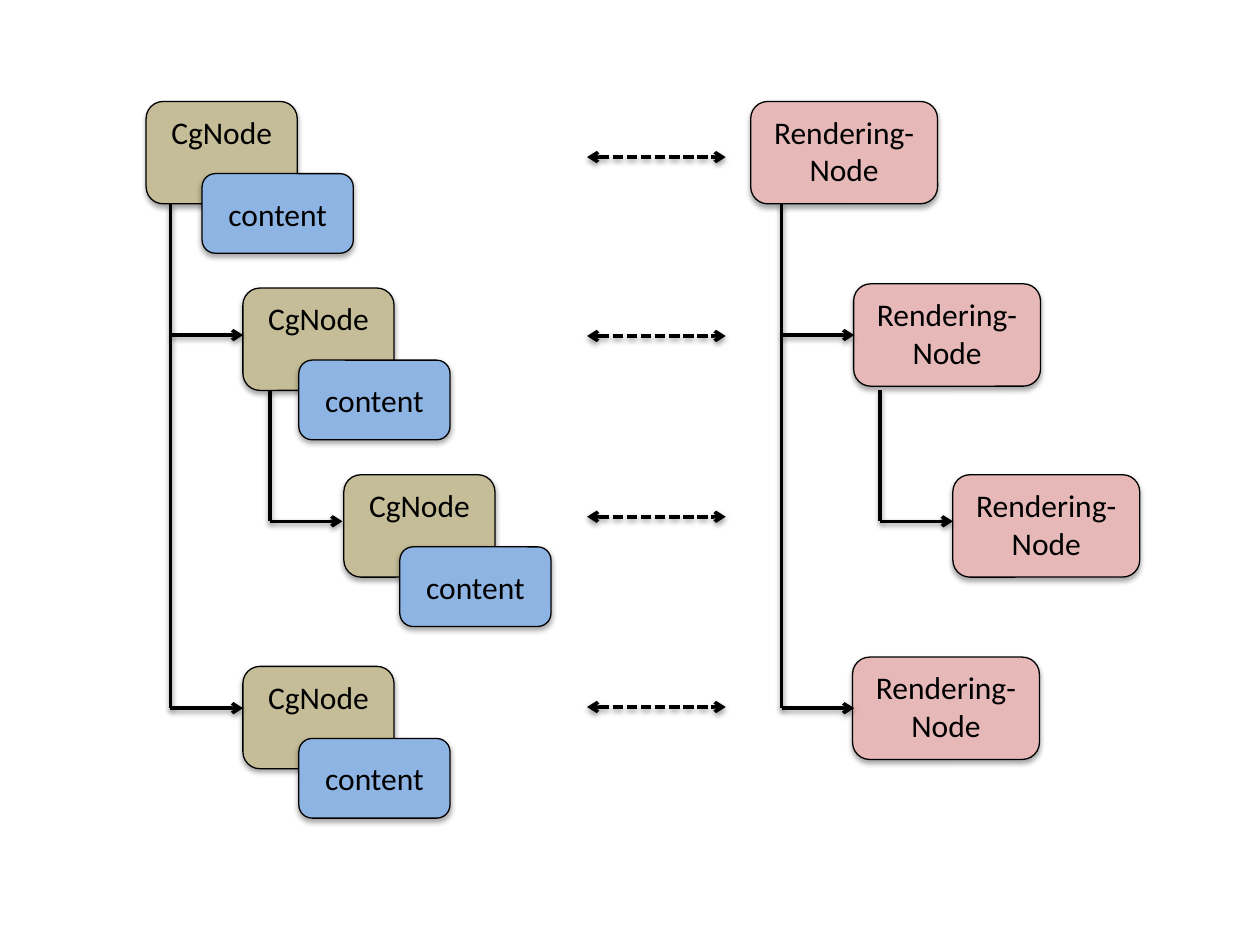
import pptx
import pptx.util
import pptx.dml.color
import pptx.enum.dml
import pptx.enum.shapes
import pptx.enum.text
import pptx.oxml
import pptx.oxml.ns
import lxml.etree

Pt = pptx.util.Pt
MIDDLE = pptx.enum.text.MSO_ANCHOR.MIDDLE
TOP = pptx.enum.text.MSO_ANCHOR.TOP

COLORS = {
    "ink": "000000",
    "node": "C4BD97",
    "content": "8EB4E3",
    "rendering": "E6B9B8",
}


def color(name):
    return pptx.dml.color.RGBColor.from_string(COLORS[name])


class Diagram:
    """Holds the style and the current slide."""

    font = {"name": "Calibri", "size": Pt(18)}
    box_line = 0.75
    connector_line = 2

    def __init__(self, slide):
        self.slide = slide

    def add_shadow(self, shape, distance, opacity):
        properties = shape._element.spPr
        effects = properties.find(pptx.oxml.ns.qn("a:effectLst"))
        if effects is None:
            effects = lxml.etree.SubElement(properties, pptx.oxml.ns.qn("a:effectLst"))
        effects.append(pptx.oxml.parse_xml(
            f'<a:outerShdw {pptx.oxml.ns.nsdecls("a")} blurRad="{Pt(3.1)}"'
            f' dist="{Pt(distance)}" dir="5400000" rotWithShape="0">'
            f'<a:srgbClr val="{COLORS["ink"]}"><a:alpha val="{opacity * 1000}"/>'
            '</a:srgbClr></a:outerShdw>'))

    def box(self, text, left, top, width, height, fill, anchor=TOP):
        shape = self.slide.shapes.add_shape(
            pptx.enum.shapes.MSO_SHAPE.ROUNDED_RECTANGLE,
            Pt(left), Pt(top), Pt(width), Pt(height))
        shape.fill.solid()
        shape.fill.fore_color.rgb = color(fill)
        shape.line.color.rgb = color("ink")
        shape.line.width = Pt(self.box_line)
        shape.shadow.inherit = False
        self.add_shadow(shape, 1.8, 35)
        frame = shape.text_frame
        for name, value in {"word_wrap": True, "vertical_anchor": anchor}.items():
            setattr(frame, name, value)
        paragraph = frame.paragraphs[0]
        paragraph.alignment = pptx.enum.text.PP_ALIGN.CENTER
        run = paragraph.add_run()
        run.text = text
        for name, value in self.font.items():
            setattr(run.font, name, value)
        run.font.color.rgb = color("ink")

    def line(self, start, end, arrows=(), dashed=False):
        connector = self.slide.shapes.add_connector(
            pptx.enum.shapes.MSO_CONNECTOR.STRAIGHT, *map(Pt, (*start, *end)))
        connector.line.color.rgb = color("ink")
        connector.line.width = Pt(self.connector_line)
        if dashed:
            connector.line.dash_style = pptx.enum.dml.MSO_LINE.SQUARE_DOT
        outline = connector.line._get_or_add_ln()
        for arrow in arrows:
            lxml.etree.SubElement(outline, pptx.oxml.ns.qn(f"a:{arrow}"), type="arrow")
        self.add_shadow(connector, 1.6, 38)

    def node_with_content(self, left, top):
        self.box("CgNode", left, top, 86.4, 58.5, "node")
        self.box("content", left + 32, top + 41.2, 86.4, 45.5, "content", MIDDLE)

    def rendering_node(self, left, top):
        self.box("Rendering-Node", left, top, 106.8, 58.5, "rendering")

    def branch(self, left, top, levels):
        """A vertical trunk with an arrow to the right at each level."""
        self.line((left, top), (left, levels[-1]))
        for level in levels:
            self.line((left, level), (left + 41.5, level), ["tailEnd"])


presentation = pptx.Presentation()
presentation.slide_width, presentation.slide_height = Pt(720), Pt(540)
diagram = Diagram(presentation.slides.add_slide(presentation.slide_layouts[6]))

# Scene graph on the left
for left, top in [(83.5, 58), (138.8, 164.6), (138.8, 380.8), (196.5, 271.3)]:
    diagram.node_with_content(left, top)

# Rendering graph on the right
for left, top in [(429, 58), (487.8, 162.2), (544.5, 271.3), (487.2, 375.5)]:
    diagram.rendering_node(left, top)

# Tree branches of both graphs
for root, child in [(97.4, 154.2), (446.6, 503)]:
    diagram.branch(root, 116.7, [191.5, 404.7])
    diagram.branch(child, 223, [297.9])

# Links between matching nodes
for level in (89.8, 192, 295.3, 404):
    diagram.line((335.5, level), (414.7, level), ["headEnd", "tailEnd"], dashed=True)

presentation.save("out.pptx")
